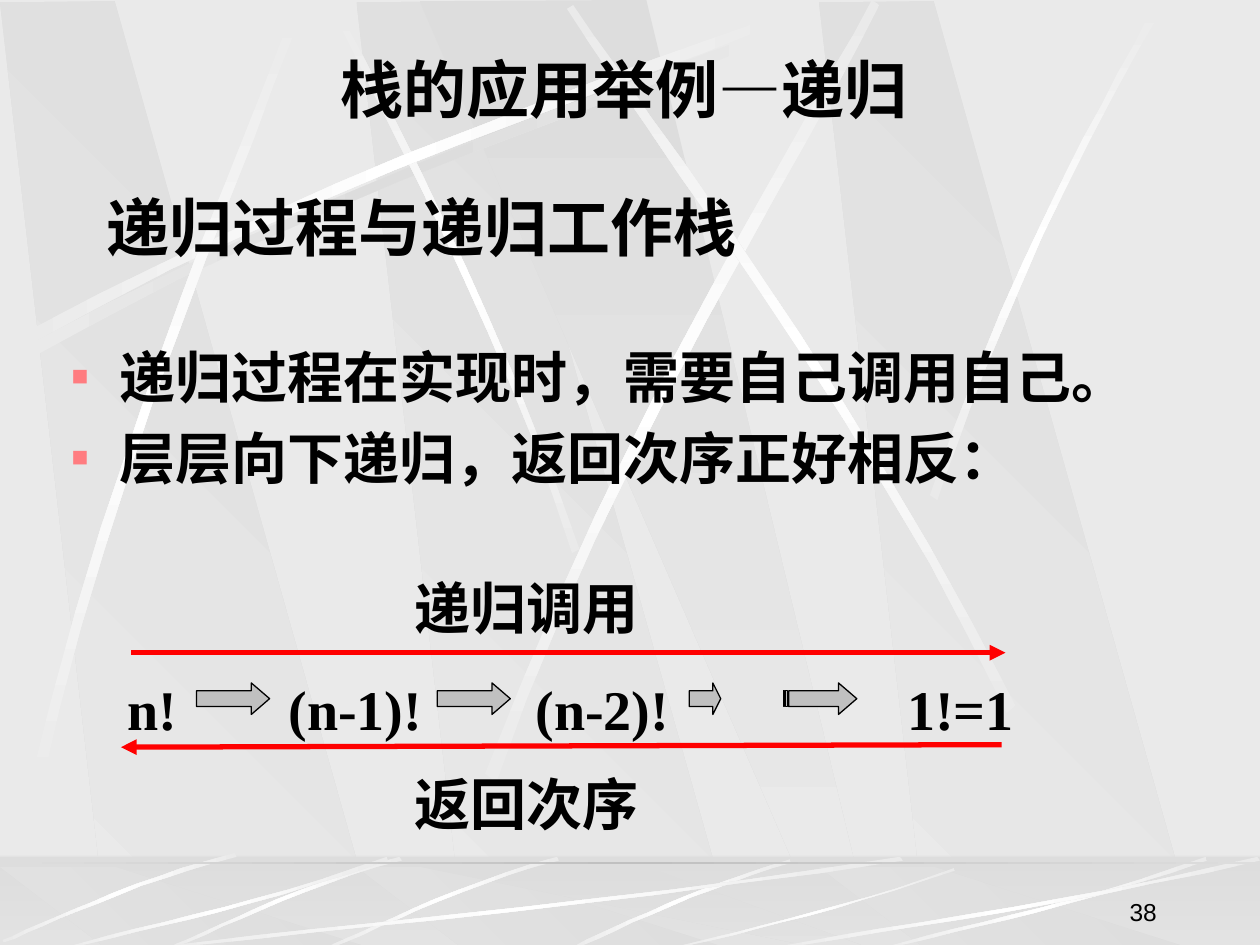
from lxml import etree
from copy import deepcopy
from pptx import Presentation
from pptx.dml.color import RGBColor
from pptx.enum.shapes import MSO_CONNECTOR, MSO_SHAPE
from pptx.enum.text import MSO_ANCHOR, PP_ALIGN
from pptx.oxml.ns import qn
from pptx.util import Pt

PX = 9144  # 100 px to the inch
RECT = MSO_SHAPE.RECTANGLE
RIGHT_ARROW, STRIPED_ARROW = MSO_SHAPE.RIGHT_ARROW, MSO_SHAPE.STRIPED_RIGHT_ARROW
STRAIGHT = MSO_CONNECTOR.STRAIGHT
TOP, MIDDLE, BOTTOM = MSO_ANCHOR.TOP, MSO_ANCHOR.MIDDLE, MSO_ANCHOR.BOTTOM
LEFT, RIGHT = PP_ALIGN.LEFT, PP_ALIGN.RIGHT
COLORS = {
    "light": "EAEAEA", "shade": "DDDDDD", "white": "FFFFFF", "gray": "C0C0C0",
    "black": "000000", "red": "FF0000", "bullet": "FF7C80",
}
RGB = {name: RGBColor.from_string(value) for name, value in COLORS.items()}


def paint_gradient(shape, names, angle):
    """Spread the named colours evenly; angle is counter-clockwise."""
    shape.shadow.inherit = False
    shape.line.fill.background()
    shape.fill.gradient()
    shape.fill.gradient_angle = angle
    stop_list = shape._element.spPr.find(".//" + qn("a:gsLst"))
    while len(stop_list) < len(names):
        stop_list.append(deepcopy(stop_list[0]))
    for i, (stop, name) in enumerate(zip(shape.fill.gradient_stops, names)):
        stop.position = i / (len(names) - 1)
        stop.color.rgb = RGB[name]


def write(shape, box, lines, size, anchor=TOP, align=LEFT, font="Times New Roman",
          bold=True, inset=(10, 5)):
    shape.left, shape.top, shape.width, shape.height = [v * PX for v in box]
    frame = shape.text_frame
    frame.word_wrap = True
    frame.vertical_anchor = anchor
    frame.margin_left = frame.margin_right = inset[0] * PX
    frame.margin_top = frame.margin_bottom = inset[1] * PX
    for i, line in enumerate(lines):
        paragraph = frame.add_paragraph() if i else frame.paragraphs[0]
        paragraph.alignment = align
        run = paragraph.add_run()
        run.text = line
        run.font.name, run.font.size, run.font.bold = font, Pt(size), bold
        run.font.color.rgb = RGB["black"]
    return frame


prs = Presentation()
prs.slide_width, prs.slide_height = 1000 * PX, 750 * PX
slide = prs.slides.add_slide(prs.slide_layouts[5])
shapes = slide.shapes
slide.background.fill.solid()
slide.background.fill.fore_color.rgb = RGB["light"]

# Backdrop: wall and floor, each with three panels, a wedge and light streaks.
# A streak is two cubic curves: out along one edge and back along the other.
wall_panel = [(86, 750), (302, 750), (91, 1), (0, 2)]
wall_wedge = [(333, 1), (658, 750), (694, 750), (513, 0)]
wall_streaks = [
    [(20, 275), (284, 134), (524, 59), (626, 18), (629, 24), (528, 69), (254, 151), (23, 285)],
    [(460, 436), (391, 234), (302, 77), (269, 5), (264, 7), (295, 79), (398, 258), (454, 439)],
    [(14, 267), (278, 125), (518, 51), (620, 10), (623, 16), (522, 61), (248, 143), (17, 277)],
    [(23, 625), (93, 334), (197, 105), (235, 2), (241, 4), (207, 108), (86, 368), (32, 629)],
    [(385, 614), (498, 320), (638, 102), (692, 0), (698, 4), (649, 108), (486, 355), (394, 621)],
    [(806, 560), (670, 293), (516, 95), (455, 4), (450, 7), (507, 101), (685, 325), (799, 566)],
    [(738, 393), (814, 173), (888, 66), (917, 0), (927, 0), (836, 145), (769, 322), (744, 397)],
]
floor_panel = [(86, 754), (302, 755), (91, 688), (0, 688)]
floor_wedge = [(333, 688), (658, 754), (694, 754), (513, 688)]
floor_streaks = [
    [(627, 682), (537, 709), (477, 742), (448, 754), (453, 755), (490, 737), (571, 700), (628, 685)],
    [(442, 680), (355, 705), (287, 740), (256, 753), (257, 755), (288, 743), (365, 703), (444, 683)],
    [(317, 680), (230, 705), (162, 740), (131, 753), (132, 755), (163, 743), (240, 703), (319, 683)],
    [(186, 677), (99, 700), (33, 734), (2, 746), (3, 748), (34, 737), (110, 698), (188, 680)],
    [(717, 683), (449, 723), (206, 744), (103, 755), (100, 754), (202, 741), (480, 718), (714, 680)],
    [(308, 683), (193, 723), (88, 744), (43, 755), (42, 754), (86, 741), (206, 718), (307, 680)],
    [(758, 691), (658, 726), (567, 745), (528, 755), (527, 754), (565, 743), (669, 722), (757, 689)],
    [(958, 683), (843, 723), (738, 744), (693, 755), (692, 754), (736, 741), (856, 718), (957, 680)],
    [(1000, 683), (827, 723), (669, 744), (602, 755), (600, 754), (666, 741), (846, 718), (998, 680)],
]
CURVE_STEPS = 12
for panel, wedge, streaks in ((wall_panel, wall_wedge, wall_streaks),
                              (floor_panel, floor_wedge, floor_streaks)):
    on_floor = panel is floor_panel
    if on_floor:
        floor = shapes.add_shape(RECT, 0, 680 * PX, 1000 * PX, 70 * PX)
        paint_gradient(floor, ["shade", "light"], 270)
    outlines = [([(x + dx, y) for x, y in panel], 225) for dx in (283, 0, 650)]
    for points, angle in outlines + [(wedge, 270)]:
        builder = shapes.build_freeform(*points[0], scale=PX)
        builder.add_line_segments(points[1:], close=True)
        paint_gradient(builder.convert_to_shape(), ["shade", "light"], angle)
    if on_floor:
        veil = shapes.add_shape(RECT, 0, 679 * PX, 1000 * PX, 71 * PX)
        veil.shadow.inherit = False
        veil.line.fill.background()
        veil.fill.solid()
        veil.fill.fore_color.rgb = RGB["shade"]
        tint = veil._element.spPr.find(".//" + qn("a:srgbClr"))
        etree.SubElement(tint, qn("a:alpha")).set("val", "50000")
    for i, streak in enumerate(streaks):
        points = []
        for edge in (streak[:4], streak[4:]):
            for step in range(CURVE_STEPS + 1):
                t = step / CURVE_STEPS
                weights = ((1 - t) ** 3, 3 * t * (1 - t) ** 2, 3 * t * t * (1 - t), t ** 3)
                points.append([sum(w * p[axis] for w, p in zip(weights, edge)) for axis in (0, 1)])
        builder = shapes.build_freeform(*points[0], scale=PX)
        builder.add_line_segments(points[1:], close=True)
        (x1, y1), (x2, y2) = streak[0], streak[3]
        middle = "shade" if i == 0 and not on_floor else "white"
        paint_gradient(builder.convert_to_shape(), ["light", middle, "light"],
                       0 if abs(x2 - x1) > abs(y2 - y1) else 90)
skirting = shapes.add_shape(RECT, 0, 684 * PX, 1000 * PX, 2 * PX)
paint_gradient(skirting, ["shade", "gray", "shade"], 0)

# Title, brought in front of the backdrop
title = shapes.title
shapes._spTree.append(title._element)
write(title, (260, 35, 526, 70), ["栈的应用举例—递归"], 36)

write(shapes.add_textbox(0, 0, 0, 0), (75, 142, 667, 75), ["递归过程与递归工作栈"], 36, MIDDLE)

rules = write(shapes.add_textbox(0, 0, 0, 0), (47, 267, 867, 135),
              ["递归过程在实现时，需要自己调用自己。", "层层向下递归，返回次序正好相反："], 32)
for paragraph in rules.paragraphs:
    paragraph.space_before = Pt(8)
    props = paragraph._p.get_or_add_pPr()
    props.set("marL", str(38 * PX))
    props.set("indent", str(-38 * PX))
    bullet_color = etree.SubElement(props, qn("a:buClr"))
    etree.SubElement(bullet_color, qn("a:srgbClr")).set("val", COLORS["bullet"])
    etree.SubElement(props, qn("a:buSzPct")).set("val", "50000")
    etree.SubElement(props, qn("a:buFont")).set("typeface", "Arial")
    etree.SubElement(props, qn("a:buChar")).set("char", "■")

# Recursion chain with its captions
for text, left, top, width in (
    ("递归调用", 329, 455, 200), ("返回次序", 329, 611, 200),
    ("n!", 101, 535, 50), ("(n-1)!", 229, 535, 120),
    ("(n-2)!", 425, 535, 120), ("1!=1", 720, 535, 100),
):
    write(shapes.add_textbox(0, 0, 0, 0), (left, top, width, 53), [text], 32, inset=(0, 0))

for kind, left, width, head in (
    (RIGHT_ARROW, 156, 58, 0.58), (RIGHT_ARROW, 347, 58, 0.58),
    (RIGHT_ARROW, 547, 25, 0.25), (STRIPED_ARROW, 622, 58, 0.58),
):
    step_arrow = shapes.add_shape(kind, left * PX, 542 * PX, width * PX, 25 * PX)
    step_arrow.adjustments[0], step_arrow.adjustments[1] = 0.5, head
    step_arrow.shadow.inherit = False
    step_arrow.fill.solid()
    step_arrow.fill.fore_color.rgb = RGB["gray"]
    step_arrow.line.color.rgb = RGB["black"]
    step_arrow.line.width = Pt(0.75)

for ends in ((104, 518, 798, 518), (795, 591, 96, 593)):
    direction = shapes.add_connector(STRAIGHT, *[v * PX for v in ends])
    direction.line.color.rgb = RGB["red"]
    direction.line.width = Pt(3)
    etree.SubElement(direction.line._get_or_add_ln(), qn("a:tailEnd")).set("type", "triangle")
    etree.SubElement(direction._element.spPr, qn("a:effectLst"))

write(shapes.add_textbox(0, 0, 0, 0), (720, 690, 208, 50), ["38"], 14, BOTTOM, RIGHT,
      font="Arial", bold=False)

prs.save("out.pptx")
